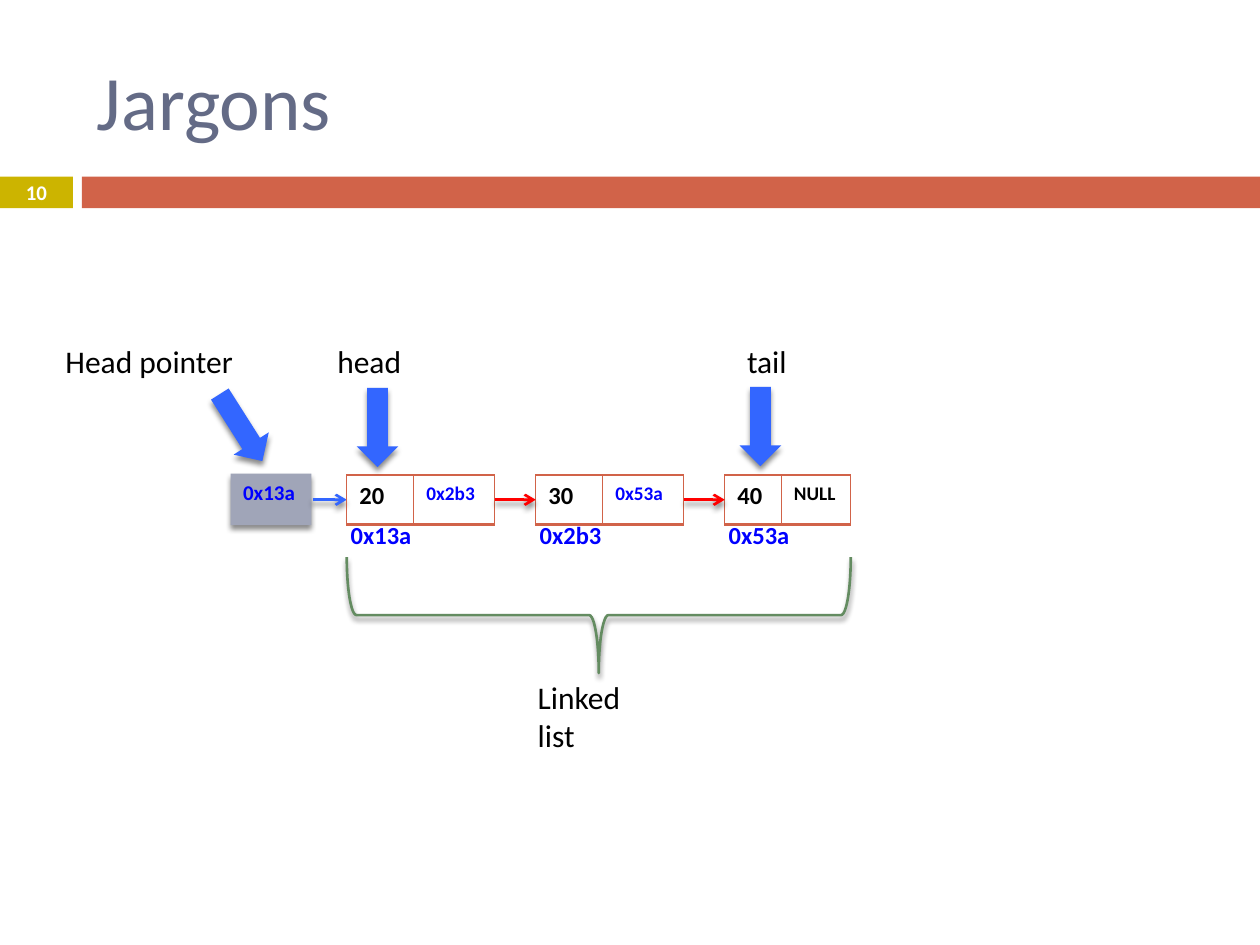
from dataclasses import dataclass

from lxml import etree
from pptx import Presentation
from pptx import util as u
from pptx.dml.color import RGBColor
from pptx.enum import shapes, text
from pptx.oxml import ns


@dataclass(frozen=True)
class Theme:
    font: str = "Calibri"
    title: str = "646B86"
    gold: str = "CCB400"
    brick: str = "D16349"
    pointer: str = "A0A5B8"
    address: str = "0000FF"
    arrow: str = "3366FF"
    link: str = "FF0000"
    brace: str = "648C61"
    ink: str = "000000"
    white: str = "FFFFFF"
    title_size: float = 44
    caption_size: float = 18
    value_size: float = 14
    pointer_size: float = 12
    number_size: float = 11.9
    cell_size: float = 11


@dataclass(frozen=True)
class Box:
    """Position and size in centimetres."""
    left: float
    top: float
    width: float
    height: float

    def lengths(self) -> list:
        return [u.Cm(v) for v in (self.left, self.top, self.width, self.height)]


@dataclass(frozen=True)
class Node:
    value: str
    next_address: str
    next_color: str
    address: str
    widths: tuple


@dataclass(frozen=True)
class Caption:
    words: str
    box: Box
    wrap: bool = False


@dataclass(frozen=True)
class BlockArrow:
    left: float
    top: float
    rotation: float


THEME = Theme()
NODE_LEFT, NODE_TOP, NODE_HEIGHT, NODE_PITCH = 6.99, 9.58, 0.99, 3.81
LINK_Y = NODE_TOP + NODE_HEIGHT / 2
NODES = [
    Node("20", "0x2b3", THEME.address, "0x13a", (1.35, 1.63)),
    Node("30", "0x53a", THEME.address, "0x2b3", (1.35, 1.63)),
    Node("40", "NULL", THEME.ink, "0x53a", (1.14, 1.4)),
]
CAPTIONS = [
    Caption("Head pointer", Box(1.07, 6.78, 3.91, 1.02)),
    Caption("head", Box(6.55, 6.78, 1.83, 1.02)),
    Caption("tail", Box(14.81, 6.78, 1.32, 1.02)),
    Caption("Linked list", Box(10.59, 13.54, 2.97, 1.02), wrap=True),
]
BLOCK_ARROWS = [BlockArrow(4.06, 8.2, 57.6), BlockArrow(6.81, 8.2, 90),
                BlockArrow(14.53, 8.18, 90)]


def add_run(frame, words: str, size: float, color: str, bold: bool = False) -> None:
    run = frame.paragraphs[0].add_run()
    run.text = words
    run.font.name = THEME.font
    run.font.size = u.Pt(size)
    run.font.bold = bold
    run.font.color.rgb = RGBColor.from_string(color)


def add_color(parent, color: str):
    return etree.SubElement(parent, ns.qn("a:srgbClr"), val=color)


def add_shadow(shape) -> None:
    """Soft shadow straight below; call after the fill and line are set."""
    properties = shape._element.spPr
    effects = properties.find(ns.qn("a:effectLst"))
    if effects is None:
        effects = etree.SubElement(properties, ns.qn("a:effectLst"))
    shadow = etree.SubElement(effects, ns.qn("a:outerShdw"), blurRad="38100",
                              dist="30000", dir="5400000", rotWithShape="0")
    etree.SubElement(add_color(shadow, THEME.ink), ns.qn("a:alpha"), val="45000")


def add_filled(slide, kind, box: Box, color: str, rotation: float = 0):
    shape = slide.shapes.add_shape(kind, *box.lengths())
    shape.shadow.inherit = False
    shape.fill.solid()
    shape.fill.fore_color.rgb = RGBColor.from_string(color)
    shape.line.fill.background()
    shape.rotation = rotation
    return shape


def add_label(slide, words: str, box: Box, size: float, color: str,
              bold: bool = False, wrap: bool = False):
    frame = slide.shapes.add_textbox(*box.lengths()).text_frame
    frame.word_wrap = wrap
    add_run(frame, words, size, color, bold)
    return frame


def add_link(slide, start: float, end: float, color: str) -> None:
    line = slide.shapes.add_connector(shapes.MSO_CONNECTOR.STRAIGHT, u.Cm(start),
                                      u.Cm(LINK_Y), u.Cm(end), u.Cm(LINK_Y))
    line.line.width = u.Pt(1.5)
    line.line.color.rgb = RGBColor.from_string(color)
    etree.SubElement(line.line._get_or_add_ln(), ns.qn("a:tailEnd"), type="arrow")
    add_shadow(line)


def add_borders(cell) -> None:
    properties = cell._tc.get_or_add_tcPr()
    for index, (side, points) in enumerate((("L", 1), ("R", 1), ("T", 1), ("B", 2))):
        border = etree.Element(ns.qn(f"a:ln{side}"), w=str(u.Pt(points)))
        add_color(etree.SubElement(border, ns.qn("a:solidFill")), THEME.brick)
        properties.insert(index, border)


def add_node(slide, node: Node, left: float) -> None:
    box = Box(left, NODE_TOP, sum(node.widths), NODE_HEIGHT)
    table = slide.shapes.add_table(1, 2, *box.lengths()).table
    table.first_row = table.horz_banding = False
    contents = ((node.value, THEME.value_size, THEME.ink),
                (node.next_address, THEME.cell_size, node.next_color))
    for index, (words, size, color) in enumerate(contents):
        table.columns[index].width = u.Cm(node.widths[index])
        cell = table.cell(0, index)
        cell.fill.background()
        add_borders(cell)
        add_run(cell.text_frame, words, size, color, bold=True)
    add_label(slide, node.address, Box(left - 0.17, 10.36, 1.83, 0.86),
              THEME.value_size, THEME.address, bold=True)


def add_header(slide) -> None:
    rectangle = shapes.MSO_SHAPE.RECTANGLE
    add_filled(slide, rectangle, Box(0, 3.56, 1.47, 0.64), THEME.gold)
    add_filled(slide, rectangle, Box(1.65, 3.56, 23.75, 0.64), THEME.brick)
    title = slide.shapes.title
    title.left, title.top, title.width, title.height = Box(1.7, 0.64, 22.66, 2.74).lengths()
    title.text_frame.vertical_anchor = text.MSO_ANCHOR.MIDDLE
    title.text_frame.paragraphs[0].alignment = text.PP_ALIGN.LEFT
    add_run(title.text_frame, "Jargons", THEME.title_size, THEME.title)
    number = add_label(slide, "10", Box(0, 3.53, 1.47, 0.69), THEME.number_size,
                       THEME.white, bold=True, wrap=True)
    number.vertical_anchor = text.MSO_ANCHOR.MIDDLE
    number.paragraphs[0].alignment = text.PP_ALIGN.CENTER


def add_head_pointer(slide) -> None:
    pointer = add_filled(slide, shapes.MSO_SHAPE.RECTANGLE,
                         Box(4.65, 9.55, 1.63, 1.04), THEME.pointer)
    add_shadow(pointer)
    frame = pointer.text_frame
    frame.vertical_anchor = text.MSO_ANCHOR.TOP
    frame.paragraphs[0].alignment = text.PP_ALIGN.LEFT
    add_run(frame, "0x13a", THEME.pointer_size, THEME.address, bold=True)
    add_link(slide, 6.3, NODE_LEFT, THEME.arrow)


def add_brace(slide) -> None:
    brace = slide.shapes.add_shape(shapes.MSO_SHAPE.RIGHT_BRACE,
                                   *Box(10.9, 7.32, 2.34, 10.16).lengths())
    brace.shadow.inherit = False
    brace.rotation = 90
    brace.fill.background()
    brace.line.width = u.Pt(1.5)
    brace.line.color.rgb = RGBColor.from_string(THEME.brace)
    add_shadow(brace)


def main() -> None:
    presentation = Presentation()
    presentation.slide_width, presentation.slide_height = u.Cm(25.4), u.Cm(19.05)
    slide = presentation.slides.add_slide(presentation.slide_layouts[5])
    add_header(slide)
    add_head_pointer(slide)
    # Chain of nodes, each linked to the one before
    for index, node in enumerate(NODES):
        left = NODE_LEFT + index * NODE_PITCH
        add_node(slide, node, left)
        if index:
            previous = left - NODE_PITCH + sum(NODES[index - 1].widths)
            add_link(slide, previous, left, THEME.link)
    # Names of the parts
    add_brace(slide)
    for arrow in BLOCK_ARROWS:
        add_shadow(add_filled(slide, shapes.MSO_SHAPE.RIGHT_ARROW,
                              Box(arrow.left, arrow.top, 1.6, 0.84),
                              THEME.arrow, arrow.rotation))
    for caption in CAPTIONS:
        add_label(slide, caption.words, caption.box, THEME.caption_size,
                  THEME.ink, wrap=caption.wrap)
    presentation.save("out.pptx")


if __name__ == "__main__":
    main()
